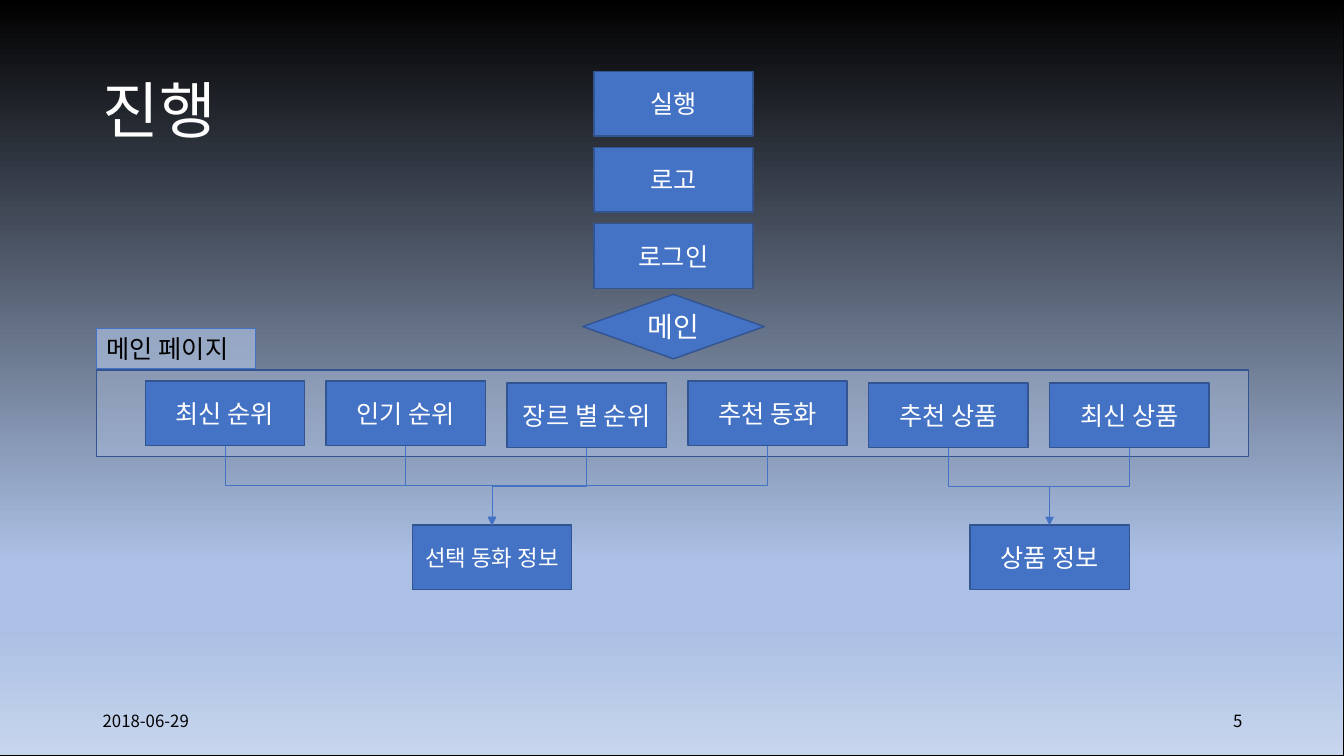
from lxml import etree
from pptx import Presentation
from pptx import util as u
from pptx.dml import color
from pptx.enum import shapes, text
from pptx.oxml import ns

FONT = "Noto Sans CJK KR"
BLUE, EDGE, PALE = "4472C4", "325491", "B4C7E7"
WHITE, BLACK = "FFFFFF", "000000"
BOX_W, BOX_H = 1.58, 0.64
PROCESS = shapes.MSO_SHAPE.FLOWCHART_PROCESS
DECISION = shapes.MSO_SHAPE.FLOWCHART_DECISION
RECTANGLE = shapes.MSO_SHAPE.RECTANGLE


def paint(colour_format, hex_colour):
    colour_format.rgb = color.RGBColor.from_string(hex_colour)


def add_child(parent, tag, **attributes):
    return etree.SubElement(parent, ns.qn(tag), attributes)


def write(shape, words, size, colour, align):
    frame = shape.text_frame
    frame.word_wrap = True
    frame.vertical_anchor = text.MSO_ANCHOR.MIDDLE
    paragraph = frame.paragraphs[0]
    paragraph.text = words
    paragraph.alignment = align
    font = paragraph.font
    font.size = u.Pt(size)
    font.name = FONT
    paint(font.color, colour)
    add_child(font._element, "a:ea", typeface=FONT)
    return paragraph


def add_box(slide, kind, box, fill=BLUE, opacity=None, edge=EDGE, width=1):
    shape = slide.shapes.add_shape(kind, *map(u.Inches, box))
    shape.shadow.inherit = False
    shape.fill.solid()
    paint(shape.fill.fore_color, fill)
    if opacity:
        rgb = shape.fill._xPr.find(".//" + ns.qn("a:srgbClr"))
        add_child(rgb, "a:alpha", val=str(opacity * 1000))
    paint(shape.line.color, edge)
    shape.line.width = u.Pt(width)
    return shape


def add_step(slide, words, left, top, size=18):
    step = add_box(slide, PROCESS, (left, top, BOX_W, BOX_H))
    write(step, words, size, WHITE, text.PP_ALIGN.CENTER)
    return step


def add_text(slide, box, words, size, colour, align=text.PP_ALIGN.LEFT):
    text_box = slide.shapes.add_textbox(*map(u.Inches, box))
    return write(text_box, words, size, colour, align)


def add_branch(slide, source, target):
    x1, y1 = source.left + source.width // 2, source.top + source.height
    x2, y2 = target.left + target.width // 2, target.top
    middle_x, middle_y = (x1 + x2) // 2, (y1 + y2) // 2
    half_drop, half_run = (y2 - y1) // 2, abs(x2 - x1) // 2
    rightward = x2 > x1
    reach = -half_drop if rightward else half_drop
    branch = slide.shapes.add_connector(
        shapes.MSO_CONNECTOR.ELBOW,
        middle_x - reach, middle_y - half_run,
        middle_x + reach, middle_y + half_run)
    paint(branch.line.color, BLUE)
    branch.line.width = u.Pt(0.5)
    properties = branch._element.spPr
    quarter_turns = 3 if rightward else 1
    properties.find(ns.qn("a:xfrm")).set("rot", str(quarter_turns * 5400000))
    add_child(properties.find(ns.qn("a:ln")), "a:tailEnd", type="triangle")
    add_child(properties, "a:effectLst")


def draw_backdrop(slide, box):
    backdrop = add_box(slide, RECTANGLE, box, edge=BLACK)
    backdrop.fill.gradient()
    backdrop.fill.gradient_angle = 270
    stops = backdrop.fill._xPr.find(".//" + ns.qn("a:gsLst"))
    for stop in list(stops):
        stops.remove(stop)
    for position, shade in ((0, BLACK), (74, "ABC0E4"), (83, "ABC0E4"), (100, "C7D5ED")):
        stop = add_child(stops, "a:gs", pos=str(position * 1000))
        add_child(stop, "a:srgbClr", val=shade)


def draw_title_and_footer(slide, box):
    left, top, width, height = box
    title = add_text(slide, (left, top, width, 1.45), "진행", 44, WHITE)
    title.line_spacing = 0.9
    footer_top = top + height - 0.4
    add_text(slide, (left, footer_top, 3, 0.4), "2018-06-29", 12, BLACK)
    add_text(slide, (left + width - 3, footer_top, 3, 0.4), "5", 12, BLACK,
             text.PP_ALIGN.RIGHT)


def draw_start_flow(slide, box):
    left, top, width, height = box
    for i, words in enumerate(("실행", "로고", "로그인")):
        add_step(slide, words, left + (width - BOX_W) / 2, top + 0.755 * i)
    main = add_box(slide, DECISION, (left, top + height - BOX_H, width, BOX_H))
    write(main, "메인", 20, WHITE, text.PP_ALIGN.CENTER)


def draw_main_page(slide, box):
    left, top, width, height = box
    add_box(slide, PROCESS, box, PALE, 36)
    label = add_box(slide, RECTANGLE, (left, top - 0.41, 1.57, 0.4), PALE, 62, BLUE, 0.5)
    write(label, "메인 페이지", 18, BLACK, text.PP_ALIGN.LEFT)
    menu = (("최신 순위", 0.11), ("인기 순위", 0.11), ("장르 별 순위", 0.13),
            ("추천 동화", 0.11), ("추천 상품", 0.13), ("최신 상품", 0.13))
    return [add_step(slide, words, left + 0.48 + 1.794 * i, top + drop)
            for i, (words, drop) in enumerate(menu)]


def draw_details(slide, box, menu):
    left, top, width, height = box
    story = add_step(slide, "선택 동화 정보", left, top, 16)
    product = add_step(slide, "상품 정보", left + width - BOX_W, top)
    for sources, target in ((menu[:4], story), (menu[4:], product)):
        for source in sources:
            add_branch(slide, source, target)


def main():
    deck = Presentation()
    deck.slide_width, deck.slide_height = u.Inches(13.33), u.Inches(7.5)
    slide = deck.slides.add_slide(deck.slide_layouts[6])
    draw_backdrop(slide, (-0.03, 0, 13.36, 7.5))
    draw_title_and_footer(slide, (0.92, 0.4, 11.5, 6.95))
    draw_start_flow(slide, (5.78, 0.71, 1.8, 2.85))
    menu = draw_main_page(slide, (0.96, 3.67, 11.42, 0.86))
    draw_details(slide, (4.09, 5.21, 7.11, BOX_H), menu)
    deck.save("out.pptx")


if __name__ == "__main__":
    main()
